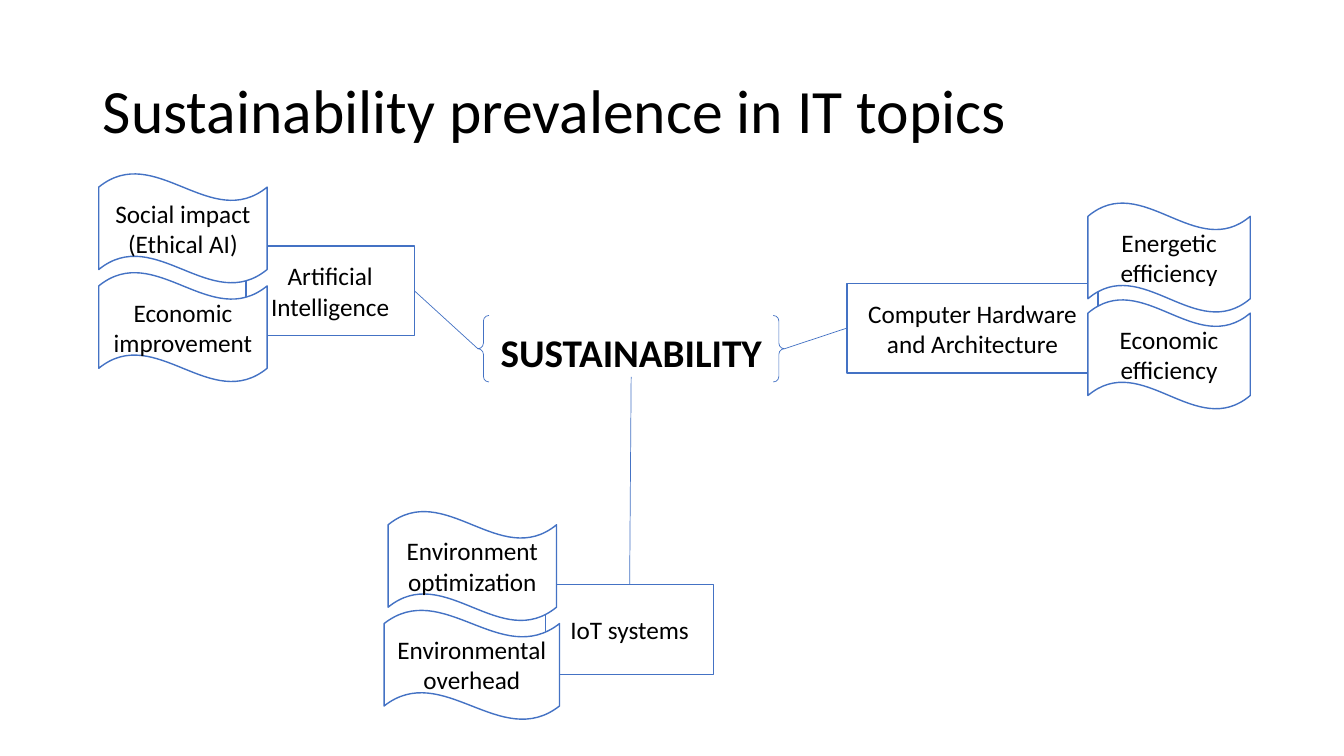
from pptx import Presentation
from pptx.dml.color import RGBColor as Rgb
from pptx.enum.shapes import MSO_CONNECTOR as Link, MSO_SHAPE as Form
from pptx.enum.text import MSO_ANCHOR as Anchor, MSO_AUTO_SIZE as Auto, PP_ALIGN as Align
from pptx.oxml import parse_xml
from pptx.oxml.ns import nsdecls
from pptx.util import Inches, Pt

INK = {"text": "000000", "line": "4472C4", "fill": "FFFFFF"}


def write(shape, text, size, align, bold=False):
    frame = shape.text_frame
    frame.word_wrap = True
    frame.auto_size = Auto.NONE
    frame.vertical_anchor = Anchor.MIDDLE
    para = frame.paragraphs[0]
    para.alignment = align
    run = para.add_run()
    run.text = text
    run.font.name = "Calibri"
    run.font.size = Pt(size)
    run.font.bold = bold
    run.font.color.rgb = Rgb.from_string(INK["text"])
    return para


def draw(form, box, text, size=18, width=1, bold=False):
    shape = slide.shapes.add_shape(form, *map(Inches, box))
    shape.shadow.inherit = False
    if form == Form.DOUBLE_BRACE:
        shape.fill.background()
    else:
        shape.fill.solid()
        shape.fill.fore_color.rgb = Rgb.from_string(INK["fill"])
    shape.line.color.rgb = Rgb.from_string(INK["line"])
    shape.line.width = Pt(width)
    write(shape, text, size, Align.CENTER, bold)
    return shape


deck = Presentation()
deck.slide_width = Inches(13.33)
deck.slide_height = Inches(7.5)
slide = deck.slides.add_slide(deck.slide_layouts[5])

title = slide.shapes.title
title.left, title.top = Inches(0.92), Inches(0.4)
title.width, title.height = Inches(11.5), Inches(1.45)
para = write(title, "Sustainability prevalence in IT topics", 44, Align.LEFT)
para.line_spacing = 0.9

core = draw(Form.DOUBLE_BRACE, (4.74, 3.13, 3.04, 0.66), "SUSTAINABILITY", 28, 0.5, True)

topics = [
    ("Computer Hardware and Architecture", (8.4, 2.81, 2.49), (7.78, 3.46), 3, 1, [
        ("Energetic efficiency", 10.79, 2.01, 1.61),
        ("Economic efficiency", 10.79, 2.97, 1.61)]),
    ("Artificial Intelligence", (2.44, 2.44, 1.67), (4.74, 3.46), 1, 3, [
        ("Social impact (Ethical AI)", 0.98, 1.72, 1.67),
        ("Economic improvement", 0.98, 2.7, 1.67)]),
    ("IoT systems", (5.41, 5.8, 1.67), (6.26, 3.74), None, 0, [
        ("Environment optimization", 3.85, 5.07, 1.67),
        ("Environmental overhead", 3.81, 6.05, 1.74)]),
]
for name, box, start, side, port, waves in topics:
    topic = draw(Form.RECTANGLE, (*box, 0.89), name)
    x, y = map(Inches, start)
    link = slide.shapes.add_connector(Link.STRAIGHT, x, y, x, y)
    if side is not None:
        link.begin_connect(core, side)
    link.end_connect(topic, port)
    link.line.color.rgb = Rgb.from_string(INK["line"])
    link.line.width = Pt(0.5)
    link._element.spPr.append(parse_xml(f"<a:effectLst {nsdecls('a')}/>"))
    for text, left, top, width in waves:
        draw(Form.WAVE, (left, top, width, 1.09), text)

deck.save("out.pptx")
